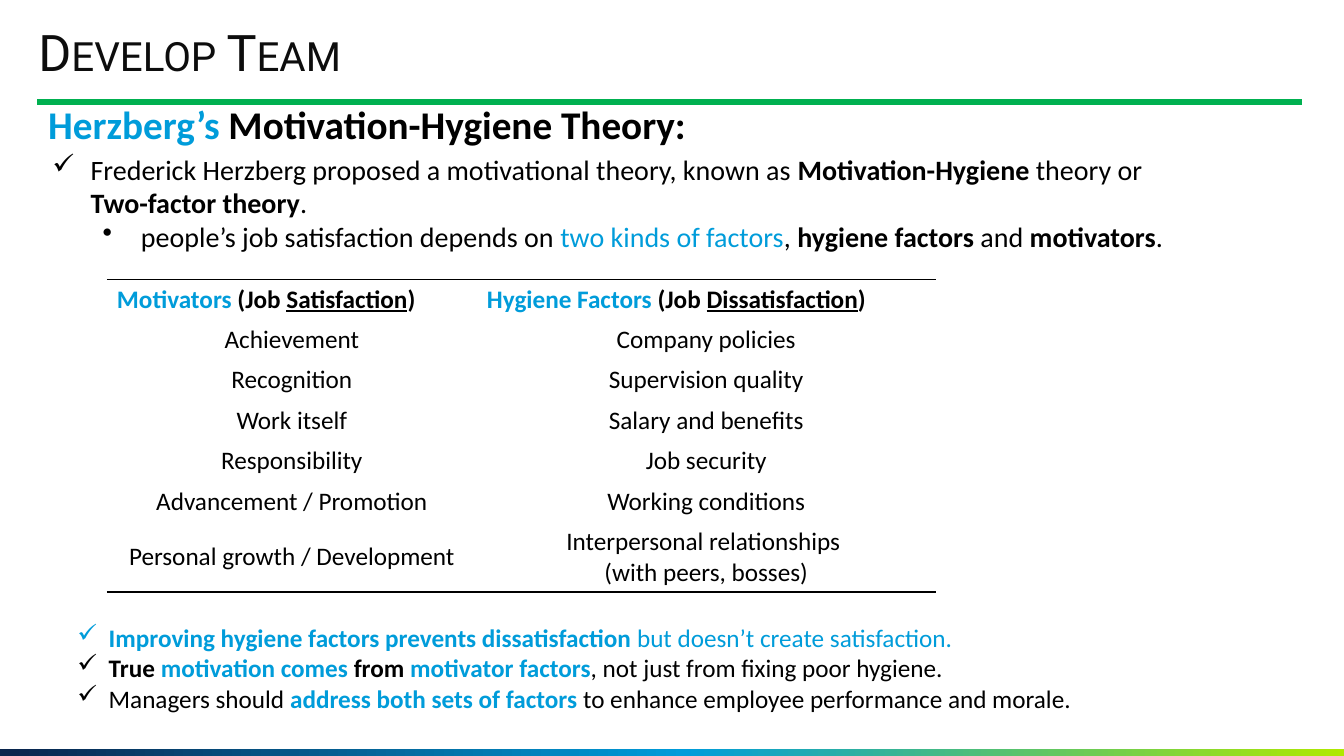
from dataclasses import dataclass

from lxml.etree import SubElement
from pptx import Presentation
from pptx.dml.color import RGBColor
from pptx.enum.shapes import MSO_CONNECTOR, MSO_SHAPE
from pptx.enum.text import MSO_ANCHOR as ANCHOR, PP_ALIGN as ALIGN
from pptx.oxml import parse_xml
from pptx.oxml.ns import nsdecls, qn
from pptx.util import Pt

PX = 9144  # 100 px to the inch
NO_GRID_STYLE = "{2D5ABB26-0587-4C30-8999-92F81FD0307C}"


@dataclass(frozen=True)
class Theme:
    ink: str = "000000"
    title_ink: str = "0D0D0D"
    accent: str = "009CDA"
    rule: str = "00B050"
    bar: tuple = ((0, "09244C"), (51, "009CDA"), (100, "B0E900"))
    title_font: str = "Roboto"
    font: str = "Calibri"
    title_size: int = 36
    heading_size: int = 28
    body_size: int = 20
    small_size: int = 18


T = Theme()

# Each run is (text, style): a = accent colour, b = bold, u = underline
HEADING = [("Herzberg’s", "ab"), (" Motivation-Hygiene Theory:", "b")]

THEORY = [
    ("Frederick Herzberg proposed a motivational theory, known as ", ""),
    ("Motivation-Hygiene", "b"), (" theory or \n", ""),
    ("Two-factor theory", "b"), (".", ""),
]
DEPENDS = [
    ("people’s job satisfaction depends on ", ""),
    ("two kinds of factors", "a"), (", ", ""),
    ("hygiene factors ", "b"), ("and ", ""), ("motivators", "b"), (".", ""),
]

FACTOR_HEADS = [
    [("Motivators", "ab"), (" (Job ", "b"), ("Satisfaction", "bu"), (")", "b")],
    [("Hygiene Factors ", "ab"), ("(Job ", "b"),
     ("Dissatisfaction", "bu"), (")", "b")],
]
FACTORS = [
    ("Achievement", "Company policies"),
    ("Recognition", "Supervision quality"),
    ("Work itself", "Salary and benefits"),
    ("Responsibility", "Job security"),
    ("Advancement / Promotion", "Working conditions"),
    ("Personal growth / Development",
     "Interpersonal relationships \n(with peers, bosses)"),
]

TAKEAWAYS = [
    [("Improving hygiene factors prevents dissatisfaction", "ab"),
     (" but doesn’t create satisfaction.", "a")],
    [("True ", "b"), ("motivation comes ", "ab"), ("from ", "b"),
     ("motivator factors", "ab"),
     (", not just from fixing poor hygiene.", "")],
    [("Managers should ", ""), ("address both sets of factors ", "ab"),
     ("to enhance employee performance and morale.", "")],
]


def emu(*lengths):
    return [n * PX for n in lengths]


def rgb(code):
    return RGBColor.from_string(code)


def add_runs(p, runs, size):
    for text, style in runs:
        for i, line in enumerate(text.split("\n")):
            if i:
                p.add_line_break()
            if not line:
                continue
            r = p.add_run()
            r.text = line
            r.font.name, r.font.size = T.font, Pt(size)
            r.font.bold = "b" in style
            r.font.underline = "u" in style
            r.font.color.rgb = rgb(T.accent if "a" in style else T.ink)


def add_bullet(p, char, left, hang):
    pPr = p._p.get_or_add_pPr()
    pPr.set("marL", str(left * PX))
    pPr.set("indent", str(-hang * PX))
    SubElement(pPr, qn("a:buChar")).set("char", char)


def add_text(slide, box, paragraphs, size, anchor=ANCHOR.TOP):
    """Each paragraph is (runs, bullet); bullet is None or (char, left, hang)."""
    tf = slide.shapes.add_textbox(*emu(*box)).text_frame
    tf.word_wrap = True
    tf.vertical_anchor = anchor
    for i, (runs, bullet) in enumerate(paragraphs):
        p = tf.add_paragraph() if i else tf.paragraphs[0]
        if bullet:
            add_bullet(p, *bullet)
        add_runs(p, runs, size)
    return tf


def add_bar(slide, box):
    sp = slide.shapes.add_shape(MSO_SHAPE.RECTANGLE, *emu(*box))
    sp.shadow.inherit = False
    sp.line.fill.background()
    sp.fill.gradient()
    sp.fill.gradient_angle = 0
    stops = sp._element.spPr.find(".//" + qn("a:gsLst"))
    for gs in list(stops):
        stops.remove(gs)
    for percent, color in T.bar:
        gs = SubElement(stops, qn("a:gs"))
        gs.set("pos", str(percent * 1000))
        SubElement(gs, qn("a:srgbClr")).set("val", color)


def add_rule(slide, x1, x2, y):
    line = slide.shapes.add_connector(MSO_CONNECTOR.STRAIGHT, *emu(x1, y, x2, y))
    line.line.color.rgb = rgb(T.rule)
    line.line.width = Pt(4.5)
    SubElement(line._element.spPr, qn("a:effectLst"))


def set_title(slide, box, text):
    title = slide.shapes.title
    title.left, title.top, title.width, title.height = emu(*box)
    tf = title.text_frame
    tf.text = text
    tf.margin_left = tf.margin_right = tf.margin_top = tf.margin_bottom = 0
    tf.vertical_anchor = ANCHOR.MIDDLE
    p = tf.paragraphs[0]
    p.alignment = ALIGN.LEFT
    p.line_spacing = 0.9
    font = p.runs[0].font
    font.name, font.size = T.title_font, Pt(T.title_size)
    font.color.rgb = rgb(T.title_ink)
    p.runs[0]._r.get_or_add_rPr().set("cap", "small")


def add_border(cell, side):
    cell._tc.get_or_add_tcPr().insert(0, parse_xml(
        f'<a:{side} {nsdecls("a")} w="12700"><a:solidFill>'
        f'<a:srgbClr val="{T.ink}"/></a:solidFill></a:{side}>'))


def add_factor_table(slide, box, col_widths, row_heights):
    rows = [FACTOR_HEADS] + [[[(text, "")] for text in pair] for pair in FACTORS]
    table = slide.shapes.add_table(len(rows), len(col_widths), *emu(*box)).table
    table.first_row = table.horz_banding = False
    table._tbl.tblPr.find(qn("a:tableStyleId")).text = NO_GRID_STYLE
    for col, width in zip(table.columns, emu(*col_widths)):
        col.width = width
    for row, height in zip(table.rows, emu(*row_heights)):
        row.height = height
    for i, row in enumerate(rows):
        for j, runs in enumerate(row):
            cell = table.cell(i, j)
            cell.fill.background()
            cell.vertical_anchor = ANCHOR.MIDDLE
            p = cell.text_frame.paragraphs[0]
            p.alignment = ALIGN.CENTER if i else ALIGN.LEFT
            add_runs(p, runs, T.small_size)
            if i == 0:
                add_border(cell, "lnT")
            elif i == len(rows) - 1:
                add_border(cell, "lnB")


def main():
    prs = Presentation()
    prs.slide_width, prs.slide_height = emu(1333, 750)
    slide = prs.slides.add_slide(prs.slide_layouts[5])

    # Frame and title
    add_bar(slide, (0, 743, 1333, 7))
    add_rule(slide, 37, 1291, 101)
    set_title(slide, (38, 27, 1119, 55), "Develop Team")

    # Theory
    heading = add_text(slide, (38, 100, 1253, 55), [(HEADING, None)],
                       T.heading_size)
    heading.paragraphs[0].line_spacing = 0.9
    theory = add_text(slide, (42, 146, 1185, 111),
                      [(THEORY, ("✓", 38, 38)), (DEPENDS, ("•", 88, 38))],
                      T.body_size)
    theory.paragraphs[1].level = 1

    # Factors and takeaways
    add_factor_table(slide, (106, 277, 822, 310), (367, 455), [40] * 6 + [70])
    add_text(slide, (67, 612, 1200, 101),
             [(runs, ("✓", 31, 31)) for runs in TAKEAWAYS],
             T.small_size, ANCHOR.MIDDLE)

    prs.save("out.pptx")


if __name__ == "__main__":
    main()
